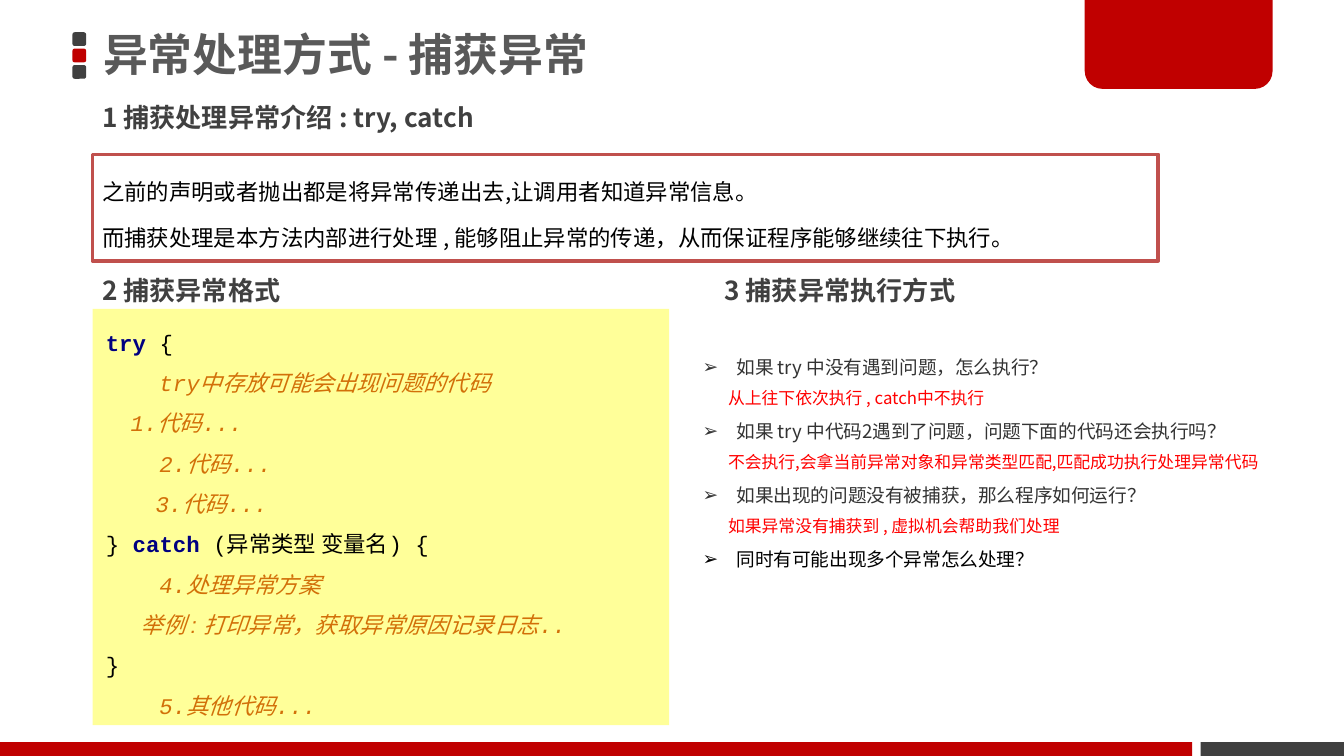
from lxml import etree
from pptx import Presentation
from pptx.dml.color import RGBColor
from pptx.enum.shapes import MSO_SHAPE
from pptx.enum.text import MSO_ANCHOR, PP_ALIGN
from pptx.oxml.ns import qn
from pptx.util import Cm, Pt

RECT = MSO_SHAPE.RECTANGLE
ROUNDED = MSO_SHAPE.ROUNDED_RECTANGLE
TAB = MSO_SHAPE.ROUND_2_SAME_RECTANGLE
TOP, MIDDLE = MSO_ANCHOR.TOP, MSO_ANCHOR.MIDDLE
LEFT = PP_ALIGN.LEFT

COLORS = {
    "red": "C00000", "dark": "404040", "title": "595959", "white": "FFFFFF",
    "black": "000000", "border": "C0504D", "code_fill": "FFFF99",
    "keyword": "000080", "note": "D27009", "question": "333333",
    "answer": "FF0000",
}
SC, JP = "Noto Sans CJK SC", "Noto Sans CJK JP"
MONO, SANS, TYPES = "Courier New", "Arial", "DejaVu Sans Mono"

KEYWORD = (MONO, "keyword", True, False)
PLAIN = (MONO, "black", False, False)
TYPE = (TYPES, "black", False, False)
NOTE = (MONO, "note", False, True)
NOTE_SANS = (SANS, "note", False, True)

CODE = [
    [("try ", KEYWORD), ("{", PLAIN)],
    [("    try中存放可能会出现问题的代码", NOTE)],
    [("    ", NOTE_SANS), ("1.代码...", NOTE)],
    [("    2.代码...", NOTE)],
    [("        ", NOTE_SANS), ("3.代码...", NOTE)],
    [("} ", PLAIN), ("catch ", KEYWORD), ("(", PLAIN),
     ("异常类型 变量名", TYPE), (") {", PLAIN)],
    [("    4.", NOTE), ("处理异常方案", NOTE_SANS)],
    [("       举例 : 打印异常，获取异常原因记录日志", NOTE_SANS), ("..", NOTE)],
    [("}", PLAIN)],
    [("    5.其他代码...", NOTE)],
]
SUMMARY = [
    "之前的声明或者抛出都是将异常传递出去,让调用者知道异常信息。",
    "而捕获处理是本方法内部进行处理 , 能够阻止异常的传递，从而保证程序能够继续往下执行。",
]
QUESTIONS = [
    ("如果 try 中没有遇到问题，怎么执行？", "question",
     "从上往下依次执行 , catch中不执行"),
    ("如果 try 中代码2遇到了问题，问题下面的代码还会执行吗？", "question",
     "不会执行,会拿当前异常对象和异常类型匹配,匹配成功执行处理异常代码"),
    ("如果出现的问题没有被捕获，那么程序如何运行？", "question",
     "如果异常没有捕获到 , 虚拟机会帮助我们处理"),
    ("同时有可能出现多个异常怎么处理？", "black", None),
]


def rgb(name):
    return RGBColor.from_string(COLORS[name])


def add_block(slide, kind, box, fill, line=None):
    block = slide.shapes.add_shape(kind, *map(Cm, box))
    block.shadow.inherit = False
    block.fill.solid()
    block.fill.fore_color.rgb = rgb(fill)
    if line:
        block.line.color.rgb = rgb(line)
        block.line.width = Pt(2)
    else:
        block.line.fill.background()
    return block


def frame_text(shape, anchor, inset=(0.18, 0.1)):
    frame = shape.text_frame
    frame.word_wrap = True
    frame.vertical_anchor = anchor
    frame.margin_left = frame.margin_right = Cm(inset[0])
    frame.margin_top = frame.margin_bottom = Cm(inset[1])
    return frame


def add_frame(slide, box, anchor, inset=(0.18, 0.1)):
    return frame_text(slide.shapes.add_textbox(*map(Cm, box)), anchor, inset)


def next_paragraph(frame, index, spacing=1.5):
    paragraph = frame.add_paragraph() if index else frame.paragraphs[0]
    paragraph.alignment = LEFT
    paragraph.line_spacing = spacing
    return paragraph


def style(font, face, size, color, bold=False, italic=False):
    font.name = face
    font.size = Pt(size)
    font.color.rgb = rgb(color)
    font.bold = bold
    font.italic = italic


def write(paragraph, text, face, size, color, bold=False):
    paragraph.text = text
    style(paragraph.font, face, size, color, bold)
    properties = paragraph._p.pPr.find(qn("a:defRPr"))
    east_asian = etree.Element(qn("a:ea"), typeface=face)
    properties.find(qn("a:latin")).addnext(east_asian)


def indent(paragraph, margin, hanging=0, bullet=None, color=None):
    properties = paragraph._p.get_or_add_pPr()
    properties.set("marL", str(Cm(margin)))
    properties.set("indent", str(-Cm(hanging)))
    if bullet:
        tint = etree.SubElement(properties, qn("a:buClr"))
        etree.SubElement(tint, qn("a:srgbClr"), val=COLORS[color])
        etree.SubElement(properties, qn("a:buFont"), typeface=SANS)
        etree.SubElement(properties, qn("a:buChar"), char=bullet)


def add_decoration(slide, width, height):
    for row, color in enumerate(("dark", "red", "dark")):
        add_block(slide, ROUNDED, (1.37, 0.61 + row * 0.31, 0.26, 0.26), color)
    corner = add_block(slide, TAB, (20.5, 0, 3.55, 1.68), "red")
    corner.rotation = 180
    corner.adjustments[0] = 0.2
    bar, split, gap = 0.26, 22.53, 0.16
    add_block(slide, RECT, (0, height - bar, split, bar), "red")
    add_block(slide, RECT,
              (split + gap, height - bar, width - split - gap, bar), "dark")


def add_title(slide, box, text):
    frame = add_frame(slide, box, MIDDLE, (0.2, 0.1))
    write(next_paragraph(frame, 0, 0.9), text, SC, 24, "title", True)


def add_heading(slide, box, text):
    frame = add_frame(slide, box, MIDDLE)
    write(next_paragraph(frame, 0, 1.0), text, JP, 14, "dark", True)


def add_summary(slide, box):
    panel = add_block(slide, RECT, box, "white", "border")
    frame = frame_text(panel, MIDDLE)
    for index, text in enumerate(SUMMARY):
        paragraph = next_paragraph(frame, index)
        if index:
            paragraph.space_before = Pt(3)
        write(paragraph, text, JP, 12, "black")


def add_code(slide, box):
    panel = add_block(slide, RECT, box, "code_fill")
    frame = frame_text(panel, MIDDLE, (0.25, 0.13))
    for index, pieces in enumerate(CODE):
        paragraph = next_paragraph(frame, index)
        for text, (face, color, bold, italic) in pieces:
            run = paragraph.add_run()
            run.text = text
            style(run.font, face, 12, color, bold, italic)


def add_questions(slide, box):
    frame = add_frame(slide, box, TOP, (0.25, 0.13))
    for index, (question, color, answer) in enumerate(QUESTIONS):
        paragraph = next_paragraph(frame, index)
        indent(paragraph, 0.64, 0.64, "➢", color)
        write(paragraph, question, SC, 10, color)
        if answer:
            reply = next_paragraph(frame, 1)
            indent(reply, 0.48)
            write(reply, answer, SC, 9, "answer")


def main():
    width, height = 25.4, 14.29
    deck = Presentation()
    deck.slide_width, deck.slide_height = Cm(width), Cm(height)
    slide = deck.slides.add_slide(deck.slide_layouts[6])
    left, right = 1.75, 13.51
    add_decoration(slide, width, height)
    add_title(slide, (left, -0.05, 14.96, 2.26), "异常处理方式 - 捕获异常")
    add_heading(slide, (left, 1.68, 11.76, 1.07), "1 捕获处理异常介绍 : try, catch")
    add_summary(slide, (left, 2.92, 20.14, 2.01))
    add_heading(slide, (left, 4.93, 10.36, 1.09), "2 捕获异常格式")
    add_code(slide, (left, 5.84, 10.9, 7.87))
    add_heading(slide, (right, 4.93, 10.36, 1.09), "3 捕获异常执行方式")
    add_questions(slide, (13.03, 6.38, 12.19, 5.16))
    deck.save("out.pptx")


if __name__ == "__main__":
    main()
